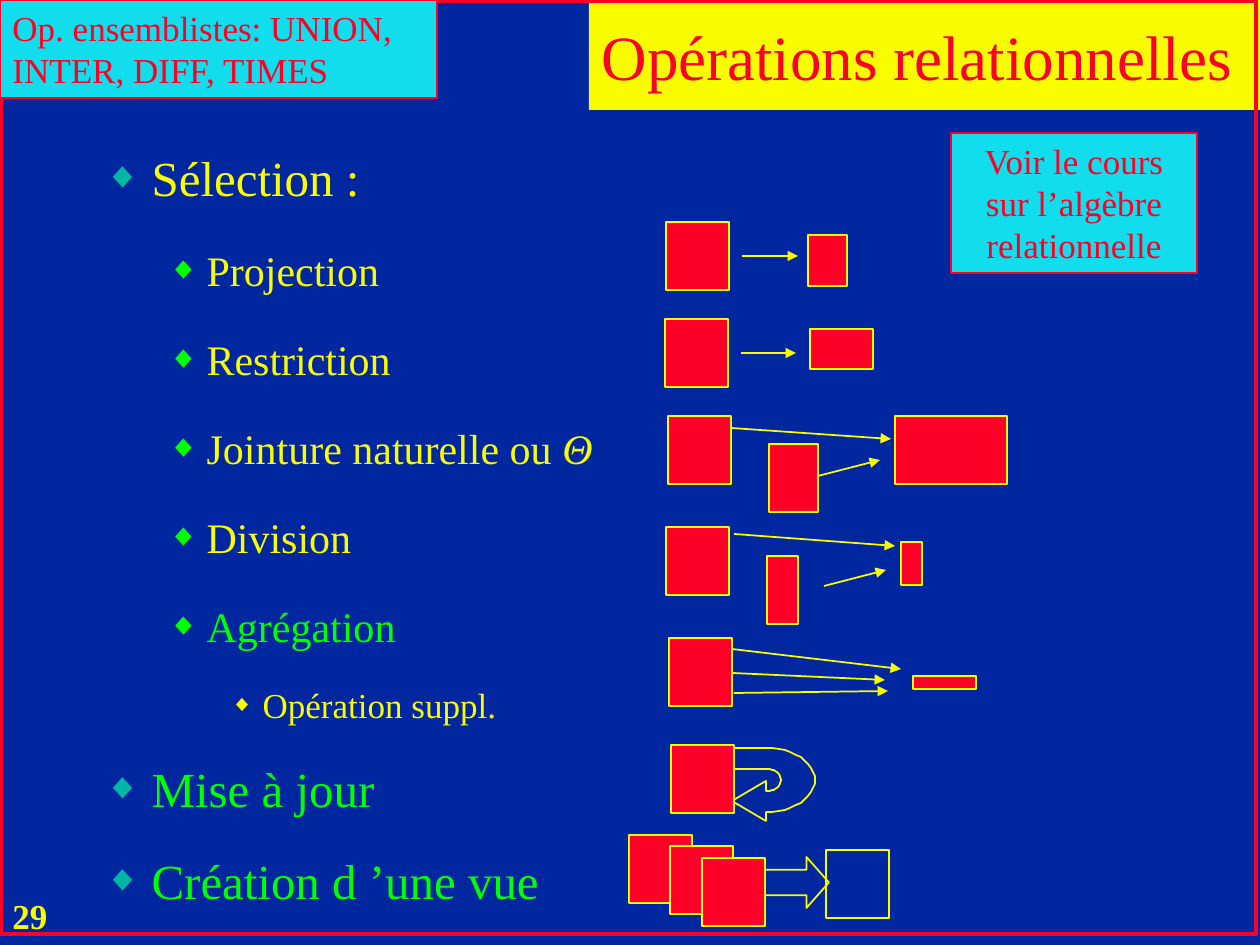
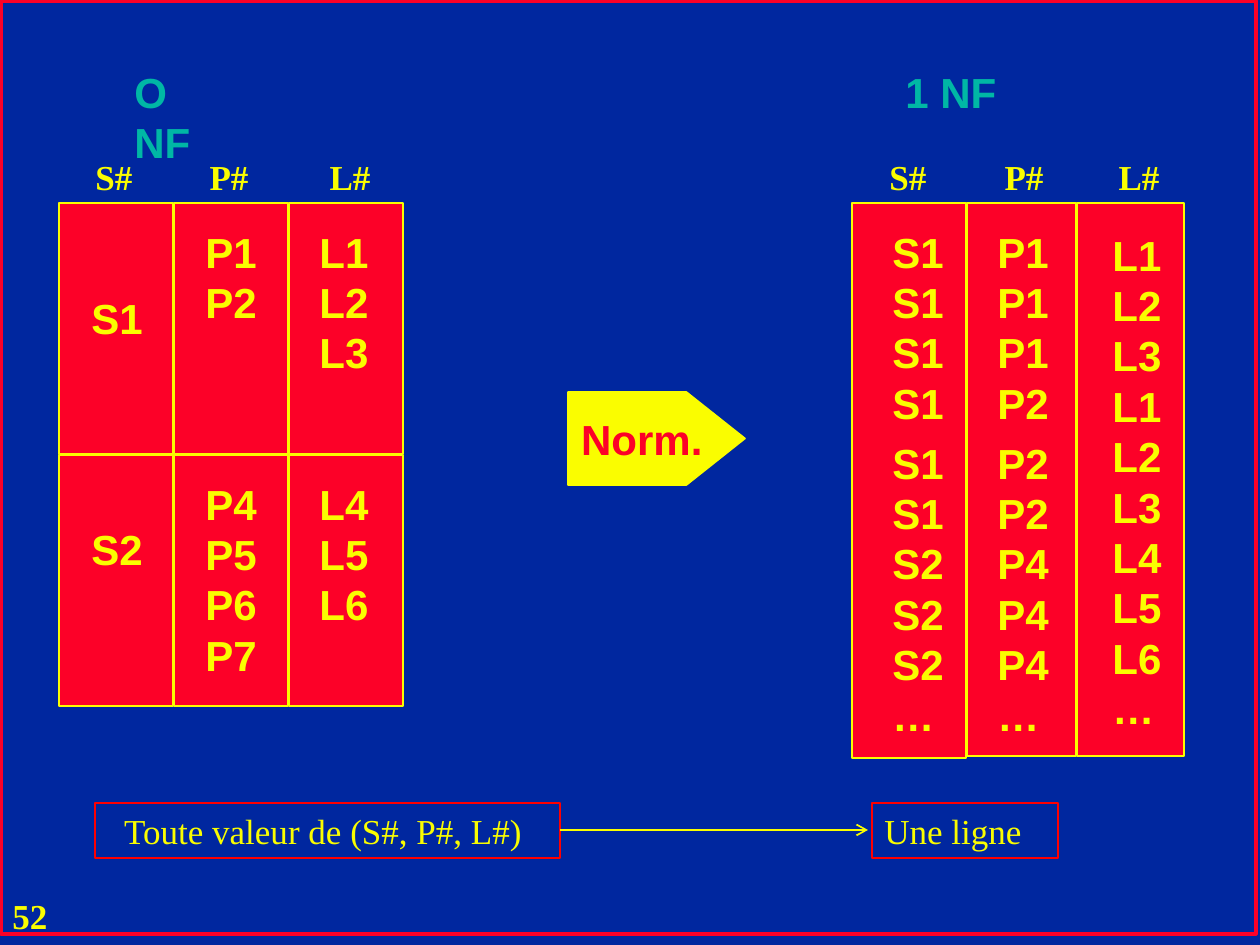
from dataclasses import dataclass
from math import cos, pi, sin

from lxml import etree
from pptx import Presentation
from pptx.dml.color import RGBColor
from pptx.enum.shapes import MSO_CONNECTOR, MSO_SHAPE
from pptx.enum.text import MSO_ANCHOR, MSO_AUTO_SIZE, PP_ALIGN
from pptx.oxml.ns import qn
from pptx.util import Pt

RECT, ARROW, PLATE = MSO_SHAPE.RECTANGLE, MSO_SHAPE.RIGHT_ARROW, MSO_SHAPE.PENTAGON
LINE = MSO_CONNECTOR.STRAIGHT
TOP, MID = MSO_ANCHOR.TOP, MSO_ANCHOR.MIDDLE
LEFT, MIDDLE = PP_ALIGN.LEFT, PP_ALIGN.CENTER
FIXED = MSO_AUTO_SIZE.NONE
SCALE = 914400 / 126


@dataclass(frozen=True)
class Theme:
    back: str = "00279F"
    red: str = "FC0128"
    edge: str = "FF0000"
    gold: str = "FAFD00"
    cyan: str = "11DDED"
    teal: str = "00B7A5"
    green: str = "00FF00"
    serif: str = "Times New Roman"
    sans: str = "Arial"
    title: int = 36
    head: int = 28
    item: int = 24
    note: int = 20


T = Theme()


def px(n):
    return round(n * SCALE)


def rgb(code):
    return RGBColor.from_string(code)


def place(shape, x, y, w, h):
    shape.left, shape.top, shape.width, shape.height = map(px, (x, y, w, h))


def style(font, size, color, face, bold=False, slant=False):
    font.size, font.name = Pt(size), face
    font.bold, font.italic = bold, slant
    font.color.rgb = rgb(color)


def text(shape, words, size=T.note, color=T.gold, face=T.serif, bold=False,
         align=LEFT, anchor=TOP, wrap=True):
    frame = shape.text_frame
    frame.word_wrap, frame.auto_size = wrap, FIXED
    frame.vertical_anchor = anchor
    for i, line in enumerate(words.split("\n")):
        para = frame.add_paragraph() if i else frame.paragraphs[0]
        para.alignment = align
        run = para.add_run()
        run.text = line
        style(run.font, size, color, face, bold)


def label(slide, words, x, y, w, h, **look):
    text(slide.shapes.add_textbox(px(x), px(y), px(w), px(h)), words, **look)


def paint(shape, fill, line, width):
    shape.shadow.inherit = False
    if fill:
        shape.fill.solid()
        shape.fill.fore_color.rgb = rgb(fill)
    else:
        shape.fill.background()
    shape.line.color.rgb = rgb(line)
    shape.line.width = Pt(width)


def box(slide, x, y, w, h, fill=T.red, line=T.gold, width=1, kind=RECT, tune=()):
    shape = slide.shapes.add_shape(kind, px(x), px(y), px(w), px(h))
    paint(shape, fill, line, width)
    for i, value in enumerate(tune):
        shape.adjustments[i] = value
    return shape


def square(slide, x, y):
    box(slide, x, y, 63, 68)


def arrow(slide, x1, y1, x2, y2, tip="triangle"):
    link = slide.shapes.add_connector(LINE, px(x1), px(y1), px(x2), px(y2))
    link.line.color.rgb = rgb(T.gold)
    link.line.width = Pt(1)
    props = link.line._get_or_add_ln()
    etree.SubElement(props, qn("a:tailEnd"), type=tip)
    etree.SubElement(props.getparent(), qn("a:effectLst"))


def arc(x, y, rx, ry, start, end, steps=24):
    turns = [start + (end - start) * i / steps for i in range(steps + 1)]
    return [(x + rx * cos(a), y + ry * sin(a)) for a in turns]


def loop(slide):
    outer = arc(766, 780, 49, 32, pi / 2, -pi / 2)
    inner = arc(766, 780, 15, 11, -pi / 2, pi / 2)
    pen = slide.shapes.build_freeform(732, 801, scale=SCALE)
    pen.add_line_segments([(766, 821), *outer, (689, 748), (689, 769), *inner, (766, 781)])
    paint(pen.convert_to_shape(), None, T.gold, 1)


def bullet(para, left, hang, color, size):
    props = para._p.get_or_add_pPr()
    props.set("marL", str(px(left)))
    props.set("indent", str(px(-hang)))
    tint = etree.SubElement(props, qn("a:buClr"))
    etree.SubElement(tint, qn("a:srgbClr"), val=color)
    etree.SubElement(props, qn("a:buSzPct"), val=str(size * 1000))
    etree.SubElement(props, qn("a:buChar"), char="◆")


def outline(shape, items):
    levels = [(47, 47, T.teal, 75, T.head), (102, 39, T.green, 75, T.item),
              (158, 32, T.gold, 65, T.note)]
    frame = shape.text_frame
    frame.auto_size, frame.word_wrap = FIXED, True
    frame.vertical_anchor = TOP
    for i, (level, space, color, words, slant) in enumerate(items):
        para = frame.add_paragraph() if i else frame.paragraphs[0]
        left, hang, tint, ratio, size = levels[level]
        para.level, para.alignment = level, LEFT
        para.line_spacing = space
        para.space_before = Pt(size * 0.2)
        bullet(para, left, hang, tint, ratio)
        for part, tilt in ((words, False), (slant, True)):
            if part:
                run = para.add_run()
                run.text = part
                style(run.font, size, color, T.serif, slant=tilt)


def page(deck, layout, number):
    slide = deck.slides.add_slide(deck.slide_layouts[layout])
    label(slide, number, 0, 888, 87, 54, bold=True, wrap=False)
    box(slide, 1, 1, 1255, 933, None, T.red, 2)
    return slide


def algebra(deck):
    slide = page(deck, 1, "29")
    title, body = slide.placeholders
    place(title, 589, 0, 671, 110)
    title.fill.solid()
    title.fill.fore_color.rgb = rgb(T.gold)
    text(title, "Opérations relationnelles", size=T.title, color=T.red, anchor=MID)
    place(body, 92, 141, 543, 804)
    outline(body, [
        (0, 1.0, T.gold, "Sélection :", ""),
        (1, 1.6, T.gold, "Projection", ""),
        (1, 1.6, T.gold, "Restriction", ""),
        (1, 1.6, T.gold, "Jointure naturelle ou ", "Θ"),
        (1, 1.6, T.gold, "Division", ""),
        (1, 1.6, T.green, "Agrégation", ""),
        (2, 1.6, T.gold, "Opération suppl.", ""),
        (0, 1.4, T.green, "Mise à jour", ""),
        (0, 1.4, T.green, "Création d ’une vue", ""),
    ])
    loop(slide)
    for x, y in ((666, 222), (665, 319), (668, 416), (666, 527), (669, 638),
                 (671, 745), (629, 835), (670, 846)):
        square(slide, x, y)
    for part in ((808, 235, 39, 51), (810, 329, 63, 40), (769, 444, 49, 68),
                 (895, 416, 112, 68), (767, 556, 31, 68), (901, 542, 21, 43),
                 (913, 676, 63, 13)):
        box(slide, *part)
    for ends in ((742, 256, 798, 256), (741, 353, 796, 353),
                 (731, 428, 891, 439), (818, 476, 880, 460),
                 (734, 534, 895, 546), (824, 586, 886, 570),
                 (732, 649, 901, 669), (732, 673, 885, 680), (734, 693, 888, 691)):
        arrow(slide, *ends)
    box(slide, 826, 850, 63, 68, None)
    box(slide, 738, 857, 91, 51, None, kind=ARROW, tune=(0.5, 0.44))
    square(slide, 702, 858)
    hint = box(slide, 951, 133, 246, 140, T.cyan, T.red)
    text(hint, "Voir le cours sur l’algèbre relationnelle", color=T.red, align=MIDDLE)
    sets = box(slide, 0, 0, 437, 98, T.cyan, T.red)
    text(sets, "Op. ensemblistes: UNION, INTER, DIFF, TIMES", color=T.red)


def values(slide, words, x, y):
    rows = words.split()
    label(slide, "\n".join(rows), x, y, 84, 13 + 51 * len(rows),
          size=T.item, face=T.sans, bold=True)


def heads(slide, places):
    for name, x in zip(("S#", "P#", "L#"), places):
        label(slide, name, x, 149, 118, 55, bold=True, align=MIDDLE)


def normal(deck):
    slide = page(deck, 6, "52")
    for name, x in (("O NF", 122), ("1 NF", 893)):
        label(slide, name, x, 60, 120, 63, size=T.item, color=T.teal,
              face=T.sans, bold=True)
    heads(slide, (55, 170, 291))
    heads(slide, (849, 965, 1080))

    groups = [("S1", "P1 P2", "L1 L2 L3"), ("S2", "P4 P5 P6 P7", "L4 L5 L6")]
    for row, (group, drop) in enumerate(zip(groups, (83, 62))):
        y = 203 + 252 * row
        for col, words in enumerate(group):
            x = 59 + 115 * col
            box(slide, x, y, 114, 251)
            values(slide, words, x + (20, 19, 18)[col], y + (17 if col else drop))

    for x, w, h in ((852, 114, 555), (967, 109, 553), (1077, 107, 553)):
        box(slide, x, 203, w, h)
    for words, x, y in (("S1 S1 S1 S1", 880, 220), ("S1 S1 S2 S2 S2 …", 880, 431),
                        ("P1 P1 P1 P2", 985, 220), ("P2 P2 P4 P4 P4 …", 985, 431),
                        ("L1 L2 L3 L1 L2 L3 L4 L5 L6 …", 1100, 223)):
        values(slide, words, x, y)

    norm = box(slide, 568, 392, 177, 93, T.gold, kind=PLATE, tune=(0.63,))
    text(norm, "Norm.", size=T.item, color=T.red, face=T.sans, bold=True,
         align=MIDDLE, anchor=MID, wrap=False)
    for words, x, w, align in (("Toute valeur de (S#, P#, L#) ", 95, 465, MIDDLE),
                               ("Une ligne", 872, 186, LEFT)):
        text(box(slide, x, 803, w, 55, None, T.edge, 0.75), words, align=align)
    arrow(slide, 560, 830, 868, 830, "arrow")


def main():
    deck = Presentation()
    deck.slide_width, deck.slide_height = px(1260), px(945)
    back = deck.slide_master.background.fill
    back.solid()
    back.fore_color.rgb = rgb(T.back)
    algebra(deck)
    normal(deck)
    deck.save("out.pptx")


if __name__ == "__main__":
    main()
